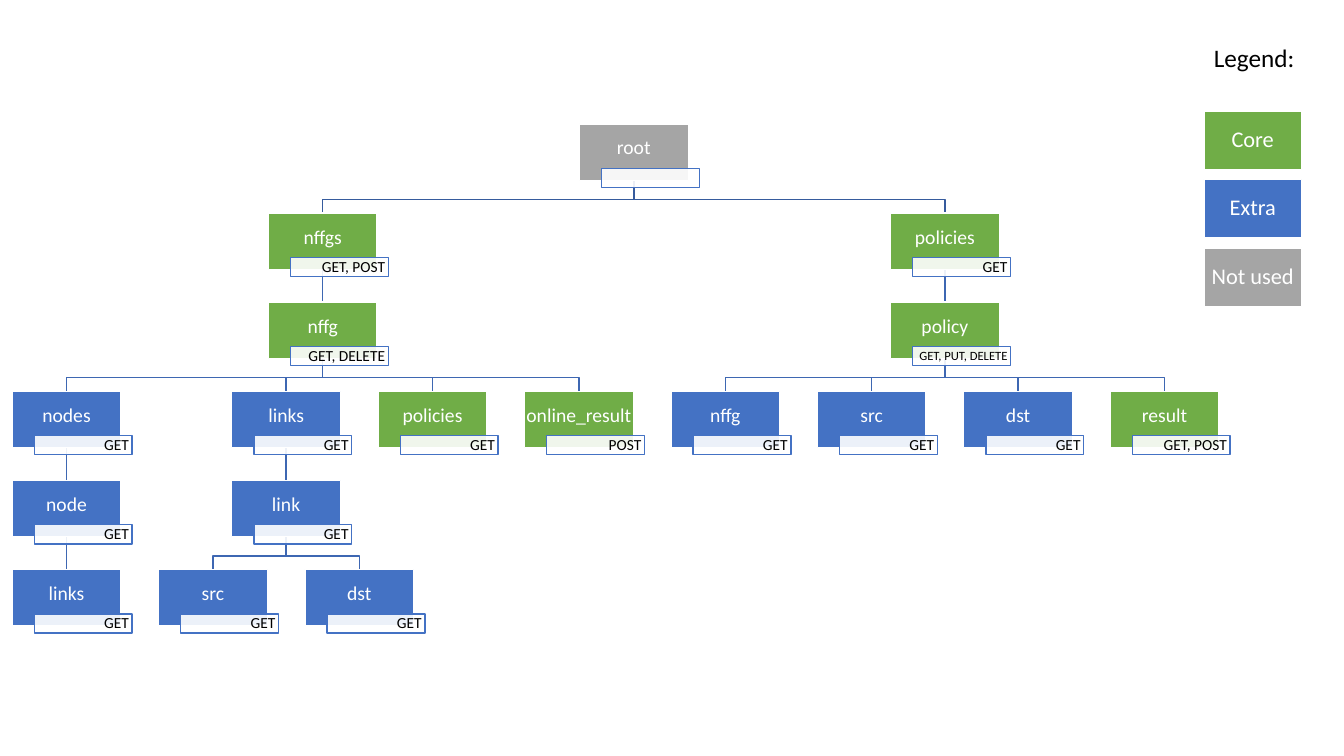
from dataclasses import dataclass
from typing import Iterator

from lxml import etree
from pptx import Presentation
from pptx.dml.color import RGBColor
from pptx.enum.shapes import MSO_SHAPE
from pptx.enum.text import MSO_ANCHOR, PP_ALIGN
from pptx.oxml.ns import qn
from pptx.util import Inches, Pt

RECT = MSO_SHAPE.RECTANGLE
MIDDLE = MSO_ANCHOR.MIDDLE
LEFT, CENTER, RIGHT = PP_ALIGN.LEFT, PP_ALIGN.CENTER, PP_ALIGN.RIGHT

CORE = RGBColor(0x70, 0xAD, 0x47)
EXTRA = RGBColor(0x44, 0x72, 0xC4)
UNUSED = RGBColor(0xA5, 0xA5, 0xA5)
WHITE = RGBColor(0xFF, 0xFF, 0xFF)
BLACK = RGBColor(0x00, 0x00, 0x00)
ROOT_LINK = RGBColor(0x36, 0x5B, 0x9D)
LINK = RGBColor(0x3E, 0x67, 0xB2)

# Grid of the tree, in inches
TREE_LEFT, TREE_TOP = 0.12, 1.23
COLUMN = (11.01 - TREE_LEFT) / 7.5
ROW = (5.65 - TREE_TOP) / 5
BOX_W, BOX_H = 1.08, 0.56
TAG_W, TAG_H = 0.97, 0.19
TAG_DX, TAG_DY = 0.22, 0.44
BEND = 0.19

LEGEND_LEFT, LEGEND_TOP, LEGEND_STEP = 11.94, 1.10, 0.68
LEGEND_W, LEGEND_H = 0.97, 0.58


@dataclass(frozen=True)
class Resource:
    """A node of the tree; only leaves need a column."""
    name: str
    methods: str
    color: RGBColor
    column: float = 0
    children: tuple["Resource", ...] = ()

    @property
    def center(self) -> float:
        if self.children:
            return (self.children[0].center + self.children[-1].center) / 2
        return self.column


NODES = Resource("nodes", "GET", EXTRA, children=(
    Resource("node", "GET", EXTRA, children=(
        Resource("links", "GET", EXTRA, 0),)),))
LINKS = Resource("links", "GET", EXTRA, children=(
    Resource("link", "GET", EXTRA, children=(
        Resource("src", "GET", EXTRA, 1),
        Resource("dst", "GET", EXTRA, 2))),))
NFFGS = Resource("nffgs", "GET, POST", CORE, children=(
    Resource("nffg", "GET, DELETE", CORE, children=(
        NODES,
        LINKS,
        Resource("policies", "GET", CORE, 2.5),
        Resource("online_result", "POST", CORE, 3.5))),))
POLICIES = Resource("policies", "GET", CORE, children=(
    Resource("policy", "GET, PUT, DELETE", CORE, children=(
        Resource("nffg", "GET", EXTRA, 4.5),
        Resource("src", "GET", EXTRA, 5.5),
        Resource("dst", "GET", EXTRA, 6.5),
        Resource("result", "GET, POST", CORE, 7.5))),))
ROOT = Resource("root", "", UNUSED, children=(NFFGS, POLICIES))

LEGEND = (("Core", CORE), ("Extra", EXTRA), ("Not used", UNUSED))


def walk(node: Resource, row: int = 0) -> Iterator[tuple[Resource, int]]:
    yield node, row
    for child in node.children:
        yield from walk(child, row + 1)


def box_position(node: Resource, row: int) -> tuple[float, float]:
    return TREE_LEFT + node.center * COLUMN, TREE_TOP + row * ROW


def write(shape, text: str, size: float, color: RGBColor, align: PP_ALIGN,
          insets: tuple[float, float, float, float]) -> None:
    """Fill the text frame; insets run left, top, right, bottom."""
    tf = shape.text_frame
    tf.word_wrap = True
    tf.vertical_anchor = MIDDLE
    tf.margin_left, tf.margin_top, tf.margin_right, tf.margin_bottom = map(Inches, insets)
    p = tf.paragraphs[0]
    p.text = text
    p.alignment = align
    p.line_spacing = 0.9
    p.font.name = "Calibri"
    p.font.size = Pt(size)
    p.font.color.rgb = color


def add_rect(s, x: float, y: float, w: float, h: float, fill: RGBColor, line: RGBColor):
    shape = s.shapes.add_shape(RECT, Inches(x), Inches(y), Inches(w), Inches(h))
    shape.shadow.inherit = False
    shape.fill.solid()
    shape.fill.fore_color.rgb = fill
    shape.line.color.rgb = line
    shape.line.width = Pt(1)
    return shape


def add_link(s, parent: Resource, child: Resource, row: int) -> None:
    """Draw the bent line from the parent's bottom to the child's top."""
    x1, y1 = box_position(parent, row)
    x2, y2 = box_position(child, row + 1)
    x1, x2, y1 = x1 + BOX_W / 2, x2 + BOX_W / 2, y1 + BOX_H
    points = [(x2, y2)]
    if parent.center != child.center:
        points = [(x1, y1 + BEND), (x2, y1 + BEND)] + points
    builder = s.shapes.build_freeform(Inches(x1), Inches(y1))
    builder.add_line_segments([(Inches(x), Inches(y)) for x, y in points], close=False)
    link = builder.convert_to_shape()
    link.shadow.inherit = False
    link.fill.background()
    link.line.color.rgb = ROOT_LINK if parent is ROOT else LINK
    link.line.width = Pt(1)


def add_resource(s, node: Resource, row: int) -> None:
    x, y = box_position(node, row)
    box = add_rect(s, x, y, BOX_W, BOX_H, node.color, WHITE)
    write(box, node.name, 14, WHITE, CENTER, (0.01, 0.01, 0.01, 0.08))

    tag = add_rect(s, x + TAG_DX, y + TAG_DY, TAG_W, TAG_H, WHITE, EXTRA)
    color = tag.fill._xPr.find(qn("a:solidFill"))[0]
    etree.SubElement(color, qn("a:alpha"), val="90000")
    if node.methods:
        size = 9 if len(node.methods) > 11 else 11
        write(tag, node.methods, size, BLACK, RIGHT, (0.03, 0.01, 0.03, 0.01))


def add_legend(s) -> None:
    title = s.shapes.add_textbox(Inches(LEGEND_LEFT), Inches(0.37), Inches(1.28), Inches(0.4))
    write(title, "Legend:", 18, BLACK, LEFT, (0.1, 0.05, 0.1, 0.05))
    title.text_frame.paragraphs[0].line_spacing = 1.0
    for i, (label, color) in enumerate(LEGEND):
        key = add_rect(s, LEGEND_LEFT, LEGEND_TOP + i * LEGEND_STEP,
                       LEGEND_W, LEGEND_H, color, WHITE)
        write(key, label, 16, WHITE, CENTER, (0.07, 0.07, 0.07, 0.07))


def main() -> None:
    prs = Presentation()
    prs.slide_width, prs.slide_height = Inches(13.33), Inches(7.5)
    s = prs.slides.add_slide(prs.slide_layouts[6])
    for node, row in walk(ROOT):
        for child in node.children:
            add_link(s, node, child, row)
    for node, row in walk(ROOT):
        add_resource(s, node, row)
    add_legend(s)
    prs.save("out.pptx")


if __name__ == "__main__":
    main()
